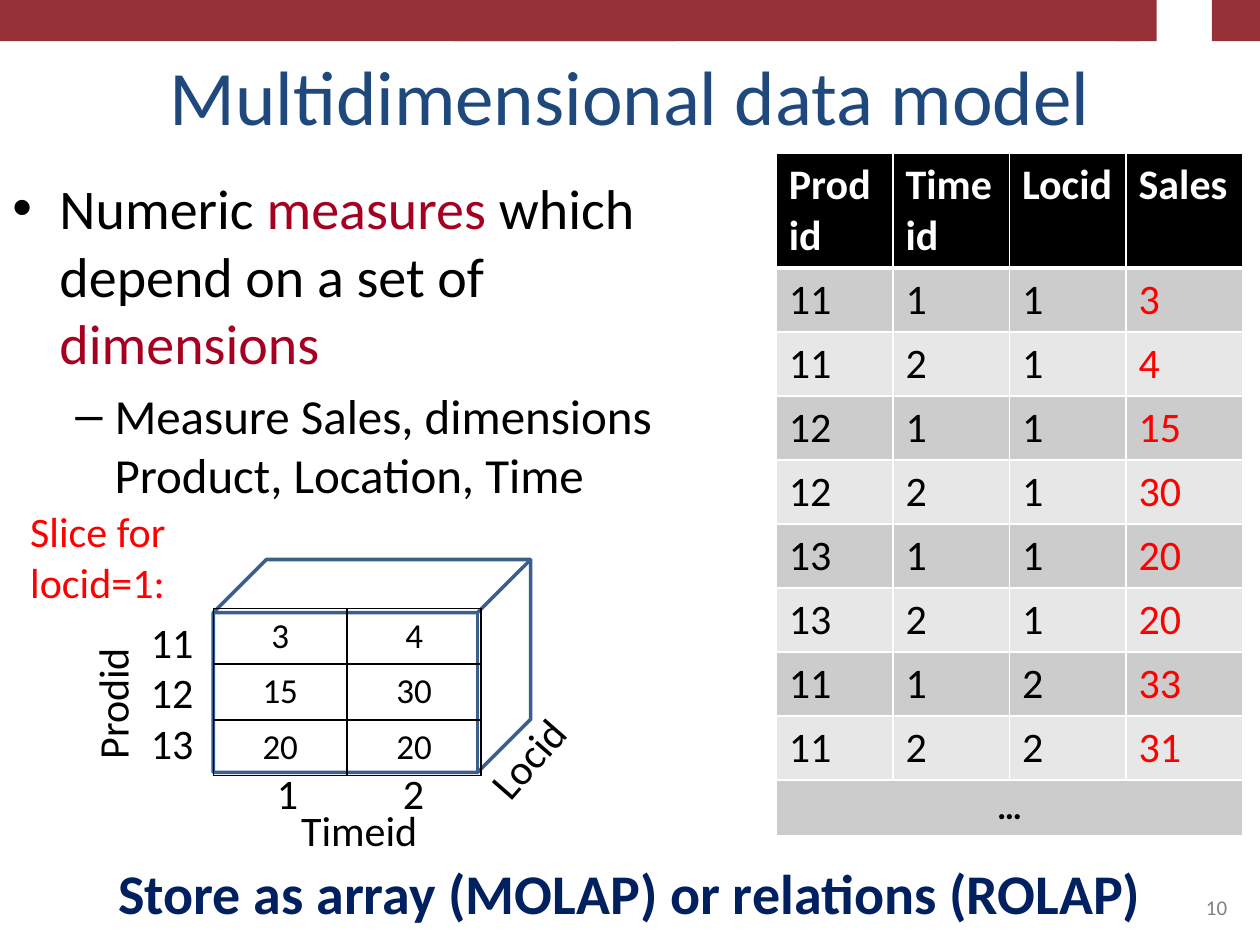
import pptx
import pptx.util
import pptx.dml.color
import pptx.enum.shapes
import pptx.enum.text
import pptx.oxml
import pptx.oxml.ns
from pptx.util import Cm

COLORS = {
    "bar": "963237", "title": "1F497D", "accent": "A50021", "banner": "002060",
    "cube": "3A5F8C", "red": "FF0000", "black": "000000", "white": "FFFFFF",
    "gray": "808080", "band_dark": "CCCCCC", "band_light": "E7E7E7",
}
ALIGN = pptx.enum.text.PP_ALIGN
ANCHOR = pptx.enum.text.MSO_ANCHOR
AUTO = pptx.enum.text.MSO_AUTO_SIZE
SHAPE = pptx.enum.shapes.MSO_SHAPE
NS = pptx.oxml.ns.nsdecls("a")


def rgb(name):
    return pptx.dml.color.RGBColor.from_string(COLORS[name])


class SlideBuilder:
    font = "Calibri"

    def __init__(self, prs):
        self.s = prs.slides.add_slide(prs.slide_layouts[5])

    def run(self, p, text, size, color="black", bold=False):
        r = p.add_run()
        r.text = text
        r.font.name, r.font.size, r.font.bold = self.font, pptx.util.Pt(size), bold
        r.font.color.rgb = rgb(color)

    def title(self, text, x, y, w, h):
        sp = self.s.shapes.title
        sp.left, sp.top, sp.width, sp.height = Cm(x), Cm(y), Cm(w), Cm(h)
        tf = sp.text_frame
        tf.auto_size, tf.vertical_anchor = AUTO.NONE, ANCHOR.BOTTOM
        p = tf.paragraphs[0]
        p.alignment = ALIGN.CENTER
        self.run(p, text, 44, "title")

    def shape(self, kind, x, y, w, h, fill=None, line=None):
        sp = self.s.shapes.add_shape(kind, Cm(x), Cm(y), Cm(w), Cm(h))
        sp.shadow.inherit = False
        if fill:
            sp.fill.solid()
            sp.fill.fore_color.rgb = rgb(fill)
        else:
            sp.fill.background()
        if line:
            sp.line.color.rgb = rgb(line)
            sp.line.width = pptx.util.Pt(2)
        else:
            sp.line.fill.background()
        return sp

    def banner(self, text, x, y, w, h):
        tf = self.shape(SHAPE.RECTANGLE, x, y, w, h, "white").text_frame
        tf.vertical_anchor = ANCHOR.MIDDLE
        p = tf.paragraphs[0]
        p.alignment = ALIGN.CENTER
        self.run(p, text, 32, "banner", True)

    def bullets(self, items, x, y, w, h):
        """Each item: bullet, left margin, hanging indent, size, space before, runs."""
        tf = self.s.shapes.add_textbox(Cm(x), Cm(y), Cm(w), Cm(h)).text_frame
        tf.word_wrap = True
        for i, (bullet, margin, hang, size, before, runs) in enumerate(items):
            p = tf.add_paragraph() if i else tf.paragraphs[0]
            p.level = i
            p.space_before = pptx.util.Pt(before)
            pPr = p._p.get_or_add_pPr()
            pPr.set("marL", str(Cm(margin)))
            pPr.set("indent", str(-Cm(hang)))
            for mark in ('buFont {} typeface="Arial"', f'buChar {{}} char="{bullet}"'):
                pPr.append(pptx.oxml.parse_xml(f"<a:{mark.format(NS)}/>"))
            for text, color in runs:
                self.run(p, text, size, color)

    def label(self, lines, x, y, w, h, size=24, color="black", rotation=0,
              align=ALIGN.LEFT, anchor=ANCHOR.TOP, grow=True, tabs=()):
        sp = self.s.shapes.add_textbox(Cm(x), Cm(y), Cm(w), Cm(h))
        sp.rotation = rotation
        tf = sp.text_frame
        tf.word_wrap = not grow
        tf.auto_size = AUTO.SHAPE_TO_FIT_TEXT if grow else AUTO.NONE
        tf.vertical_anchor = anchor
        for i, text in enumerate(lines):
            p = tf.add_paragraph() if i else tf.paragraphs[0]
            p.alignment = align
            if "\t" in text:
                stops = "".join(f'<a:tab pos="{Cm(t)}" algn="l"/>' for t in tabs)
                p._p.get_or_add_pPr().append(
                    pptx.oxml.parse_xml(f"<a:tabLst {NS}>{stops}</a:tabLst>"))
            self.run(p, text, size, color)

    def table(self, x, y, col_width, row_heights, cols):
        w, h = col_width * cols, sum(row_heights)
        t = self.s.shapes.add_table(
            len(row_heights), cols, Cm(x), Cm(y), Cm(w), Cm(h)).table
        t.first_row = t.horz_banding = False
        for col in t.columns:
            col.width = Cm(col_width)
        for row, height in zip(t.rows, row_heights):
            row.height = Cm(height)
        return t

    def cell(self, c, text, size, color="black", bold=False, fill=None,
             border="black", bottom=1, align=ALIGN.LEFT):
        tcPr = c._tc.get_or_add_tcPr()
        for side in "LRTB":
            width = pptx.util.Pt(bottom if side == "B" else 1)
            tcPr.append(pptx.oxml.parse_xml(
                f'<a:ln{side} {NS} w="{width}"><a:solidFill>'
                f'<a:srgbClr val="{COLORS[border]}"/></a:solidFill></a:ln{side}>'))
        if fill:
            c.fill.solid()
            c.fill.fore_color.rgb = rgb(fill)
        else:
            c.fill.background()
        if text:
            p = c.text_frame.paragraphs[0]
            p.alignment = align
            self.run(p, text, size, color, bold)


def main():
    prs = pptx.Presentation()
    prs.slide_width, prs.slide_height = Cm(25.4), Cm(19.05)
    b = SlideBuilder(prs)

    # Top bar: overlapping pieces with a gap near the right end
    for x, w in [(22.48, 0.84), (24.43, 0.97), (0, 13.64), (9.14, 13.84)]:
        b.shape(SHAPE.RECTANGLE, x, 0, w, 0.83, "bar")

    # Banner, cube, title and bullets
    b.banner("Store as array (MOLAP) or relations (ROLAP)", 0, 17, 25.4, 1.98)
    b.shape(SHAPE.CUBE, 4.3, 11.28, 6.4, 4.29, line="cube")
    b.title("Multidimensional data model", 1.27, 0.76, 22.86, 2.21)
    b.bullets([
        ("•", 0.95, 0.95, 32, 0, [
            ("Numeric ", "black"), ("measures", "accent"),
            (" which depend on a set of ", "black"), ("dimensions", "accent")]),
        ("–", 2.06, 0.79, 28, 5.6, [
            ("Measure Sales, dimensions Product, Location, Time", "black")]),
    ], 0, 3.38, 14.71, 13.64)
    b.label(["10"], 18.21, 17.35, 6.78, 1.32, 12, "gray",
            align=ALIGN.RIGHT, anchor=ANCHOR.BOTTOM, grow=False)

    # Sales relation
    header = ["Prodid", "Timeid", "Locid", "Sales"]
    sales = [(11, 1, 1, 3), (11, 2, 1, 4), (12, 1, 1, 15), (12, 2, 1, 30),
             (13, 1, 1, 20), (13, 2, 1, 20), (11, 1, 2, 33), (11, 2, 2, 31)]
    t = b.table(15.65, 3.09, 2.35, [2.31] + [1.29] * len(sales) + [1.12], 4)
    last = len(sales) + 1
    t.cell(last, 0).merge(t.cell(last, 3))
    for j, name in enumerate(header):
        b.cell(t.cell(0, j), name, 24, "white", True, "black", "white", 3)
        for i, record in enumerate(sales, 1):
            b.cell(t.cell(i, j), str(record[j]), 24,
                   "red" if name == "Sales" else "black",
                   fill="band_dark" if i % 2 else "band_light", border="white")
        b.cell(t.cell(last, j), "" if j else "…", 20, bold=True,
               fill="band_dark", border="white", align=ALIGN.CENTER)

    # Front face of the cube: the slice for locid 1
    face = b.table(4.3, 12.27, 2.7, [1.12] * 3, 2)
    for prod, time, loc, amount in sales:
        if loc == 1:
            b.cell(face.cell(prod - 11, time - 1), str(amount), 20,
                   align=ALIGN.CENTER)

    # Axis labels
    b.label(["11", "12", "13", "\t1\t2"], 2.79, 12.3, 6.07, 4.37,
            tabs=(2.54, 5.08))
    b.label(["Prodid"], 0.86, 13.53, 2.79, 1.27, rotation=270)
    b.label(["Timeid"], 5.82, 16.09, 2.87, 1.27)
    b.label(["Locid"], 9.47, 14.63, 2.34, 1.27, rotation=311.2)
    b.label(["Slice for", "locid=1:"], 0.36, 10.07, 3.45, 2.31, color="red")

    prs.save("out.pptx")


if __name__ == "__main__":
    main()
